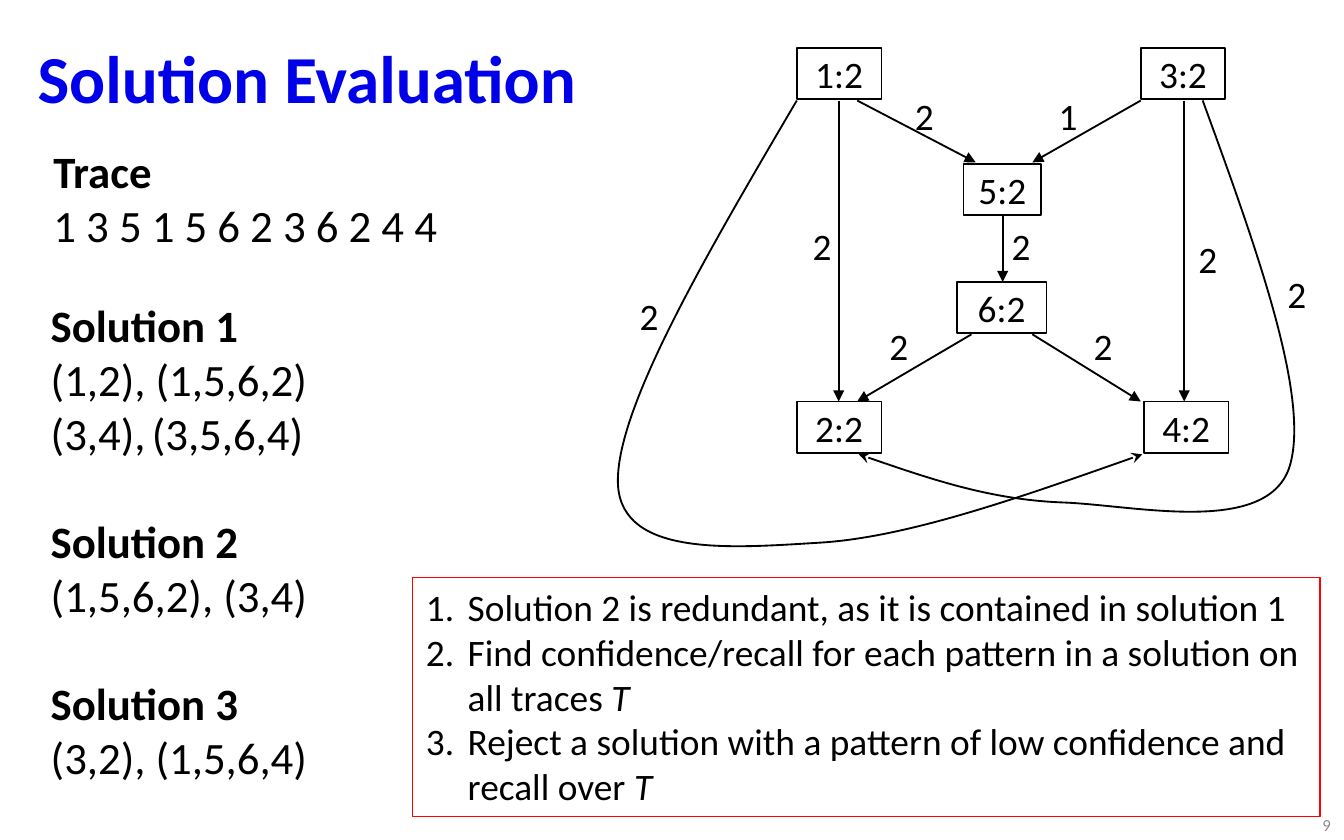
from typing import NamedTuple

from lxml.etree import SubElement as Sub
from pptx import Presentation
from pptx.dml.color import RGBColor as Rgb
from pptx.enum.shapes import MSO_CONNECTOR as Link, MSO_SHAPE as Kind
from pptx.enum.text import MSO_ANCHOR as Anchor, MSO_AUTO_SIZE as Fit, PP_ALIGN as Align
from pptx.oxml.ns import qn
from pptx.util import Cm, Pt

HUES = {"title": "0001E8", "ink": "000000", "note": "FF0000", "page": "8C8C8C"}
FACE = "Calibri"
Point = tuple[float, float]


class Node(NamedTuple):
    text: str
    left: float
    top: float
    width: float = 1.6


class Edge(NamedTuple):
    start: Point
    end: Point


class Curve(NamedTuple):
    start: Point
    bends: list[tuple[Point, Point, Point]]


class Mark(NamedTuple):
    text: str
    left: float
    top: float


class Block(NamedTuple):
    head: str
    lines: list[str]


# Rows and columns of the graph, in cm
TOP, MID, LOW, BASE = 0.91, 3.1, 5.33, 7.59
EXIT = 1.9
FORK = 6.32

NODES = [
    Node("1:2", 15.06, TOP), Node("3:2", 21.56, TOP),
    Node("5:2", 18.21, MID, 1.47), Node("6:2", 18.08, LOW, 1.7),
    Node("2:2", 15.06, BASE), Node("4:2", 21.62, BASE),
]
EDGES = [
    Edge((16.2, EXIT), (18.44, 3.07)), Edge((21.56, EXIT), (19.51, 3.07)),
    Edge((18.95, 4.09), (18.95, LOW)),
    Edge((18.36, FORK), (16.2, BASE)), Edge((19.51, FORK), (21.56, BASE)),
    Edge((15.85, EXIT), (15.85, BASE)), Edge((22.38, EXIT), (22.38, BASE)),
]
CURVES = [
    Curve((15.06, EXIT), [
        ((13.34, 4.83), (11.61, 7.77), (11.68, 9.17)),
        ((11.76, 10.54), (13.84, 10.36), (15.49, 10.26)),
        ((17.15, 10.16), (19.38, 9.37), (21.59, 8.59)),
    ]),
    Curve((22.73, EXIT), [
        ((23.77, 4.75), (24.79, 7.59), (24.36, 8.86)),
        ((23.9, 10.13), (21.44, 9.55), (20.09, 9.5)),
        ((18.72, 9.45), (17.48, 9.02), (16.23, 8.59)),
    ]),
]
MARKS = [
    Mark("2", 17.04, 1.63), Mark("1", 19.76, 1.63),
    Mark("2", 15.11, 4.09), Mark("2", 18.87, 4.09), Mark("2", 22.4, 4.34),
    Mark("2", 16.56, 5.99), Mark("2", 20.42, 5.99),
    Mark("2", 11.84, 5.41), Mark("2", 24.08, 5),
]
TRACE = [Block("Trace", ["1 3 5 1 5 6 2 3 6 2 4 4"])]
PLANS = [
    Block("Solution 1", ["(1,2), (1,5,6,2)", "(3,4),\t(3,5,6,4)"]),
    Block("Solution 2", ["(1,5,6,2), (3,4)"]),
    Block("Solution 3", ["(3,2), (1,5,6,4)"]),
]
# Each note may end in an italic symbol
NOTES = [
    ("Solution 2 is redundant, as it is contained in solution 1", ""),
    ("Find confidence/recall for each pattern in a solution on all traces ", "T"),
    ("Reject a solution with a pattern of low confidence and recall over ", "T"),
]


def style(para, size: float, hue: str = "ink", bold: bool = False) -> None:
    font = para.font
    font.name, font.size, font.bold = FACE, Pt(size), bold
    font.color.rgb = Rgb.from_string(HUES[hue])


def stroke(shape, width: float, hue: str = "ink") -> None:
    shape.line.color.rgb = Rgb.from_string(HUES[hue])
    shape.line.width = Pt(width)


def add_head(shape, kind: str) -> None:
    """Put an arrowhead at the end of a line."""
    Sub(shape.line._get_or_add_ln(), qn("a:tailEnd"), type=kind)


def add_box(slide, left: float, top: float, width: float, height: float, wrap: bool = False):
    """Add a text box and return its frame; without wrap it fits its text."""
    frame = slide.shapes.add_textbox(Cm(left), Cm(top), Cm(width), Cm(height)).text_frame
    frame.word_wrap = wrap
    if not wrap:
        frame.auto_size = Fit.SHAPE_TO_FIT_TEXT
    return frame


def add_rect(slide, left: float, top: float, width: float, height: float):
    rect = slide.shapes.add_shape(Kind.RECTANGLE, Cm(left), Cm(top), Cm(width), Cm(height))
    rect.shadow.inherit = False
    rect.fill.background()
    return rect


def draw_node(slide, node: Node) -> None:
    rect = add_rect(slide, node.left, node.top, node.width, 0.97)
    stroke(rect, 1)
    rect.text_frame.vertical_anchor = Anchor.MIDDLE
    para = rect.text_frame.paragraphs[0]
    para.text, para.alignment = node.text, Align.CENTER
    style(para, 20)


def draw_edge(slide, edge: Edge) -> None:
    line = slide.shapes.add_connector(Link.STRAIGHT, *map(Cm, edge.start + edge.end))
    stroke(line, 1)
    add_head(line, "triangle")
    Sub(line._element.spPr, qn("a:effectLst"))


def draw_curve(slide, curve: Curve) -> None:
    """Build an outline through the end points, then bend each side."""
    pen = slide.shapes.build_freeform(*map(Cm, curve.start))
    pen.add_line_segments([tuple(map(Cm, bend[-1])) for bend in curve.bends], close=False)
    shape = pen.convert_to_shape()
    sides = list(shape._element.iter(qn("a:lnTo")))
    for side, bend in zip(sides, curve.bends):
        side.tag = qn("a:cubicBezTo")
        side.remove(side[0])
        for x, y in bend:
            Sub(side, qn("a:pt"), x=str(Cm(x) - shape.left), y=str(Cm(y) - shape.top))
    shape.shadow.inherit = False
    shape.fill.background()
    stroke(shape, 1)
    add_head(shape, "stealth")


def draw_mark(slide, mark: Mark) -> None:
    para = add_box(slide, mark.left, mark.top, 0.86, 1.12).paragraphs[0]
    para.text = mark.text
    style(para, 20)


def fill_blocks(frame, blocks: list[Block]) -> None:
    """Write bold heads over plain lines, one line of space between blocks."""
    for i, block in enumerate(blocks):
        for j, text in enumerate([block.head, *block.lines]):
            para = frame.add_paragraph() if i or j else frame.paragraphs[0]
            para.text = text
            if i and not j:
                para.space_before = Pt(29.3)
            tabs = Sub(para._p.get_or_add_pPr(), qn("a:tabLst"))
            for stop in (0.64, 1.91):
                Sub(tabs, qn("a:tab"), pos=str(Cm(stop)), algn="l")
            style(para, 24, bold=not j)


def draw_notes(slide) -> None:
    rect = add_rect(slide, 7.8, 10.92, 17.15, 4.52)
    stroke(rect, 0.75, "note")
    frame = rect.text_frame
    frame.word_wrap, frame.vertical_anchor = True, Anchor.TOP
    frame.auto_size = Fit.SHAPE_TO_FIT_TEXT
    for i, (text, sign) in enumerate(NOTES):
        para = frame.add_paragraph() if i else frame.paragraphs[0]
        para.alignment = Align.LEFT
        para.add_run().text = text
        if sign:
            run = para.add_run()
            run.text, run.font.italic = sign, True
        props = para._p.get_or_add_pPr()
        props.set("marL", str(Cm(0.79)))
        props.set("indent", str(-Cm(0.79)))
        Sub(props, qn("a:buFont"), typeface="+mj-lt")
        Sub(props, qn("a:buAutoNum"), type="arabicPeriod")
        style(para, 20)


def main() -> None:
    deck = Presentation()
    deck.slide_width, deck.slide_height = Cm(25.4), Cm(15.88)
    slide = deck.slides.add_slide(deck.slide_layouts[6])

    title = add_box(slide, 0.46, 0.46, 24.49, 2.16, wrap=True)
    title.vertical_anchor = Anchor.MIDDLE
    para = title.paragraphs[0]
    para.text, para.line_spacing = "Solution Evaluation", 0.9
    style(para, 36, "title", bold=True)

    page = add_box(slide, 19.69, 15.32, 5.71, 0.53, wrap=True)
    page.vertical_anchor = Anchor.MIDDLE
    para = page.paragraphs[0]
    para.text, para.alignment = "9", Align.RIGHT
    style(para, 9, "page")

    fill_blocks(add_box(slide, 0.76, 2.59, 7.8, 2.31), TRACE)
    fill_blocks(add_box(slide, 0.71, 5.51, 5.41, 9.5), PLANS)
    for draw, items in ((draw_node, NODES), (draw_edge, EDGES),
                        (draw_curve, CURVES), (draw_mark, MARKS)):
        for item in items:
            draw(slide, item)
    draw_notes(slide)
    deck.save("out.pptx")


if __name__ == "__main__":
    main()
